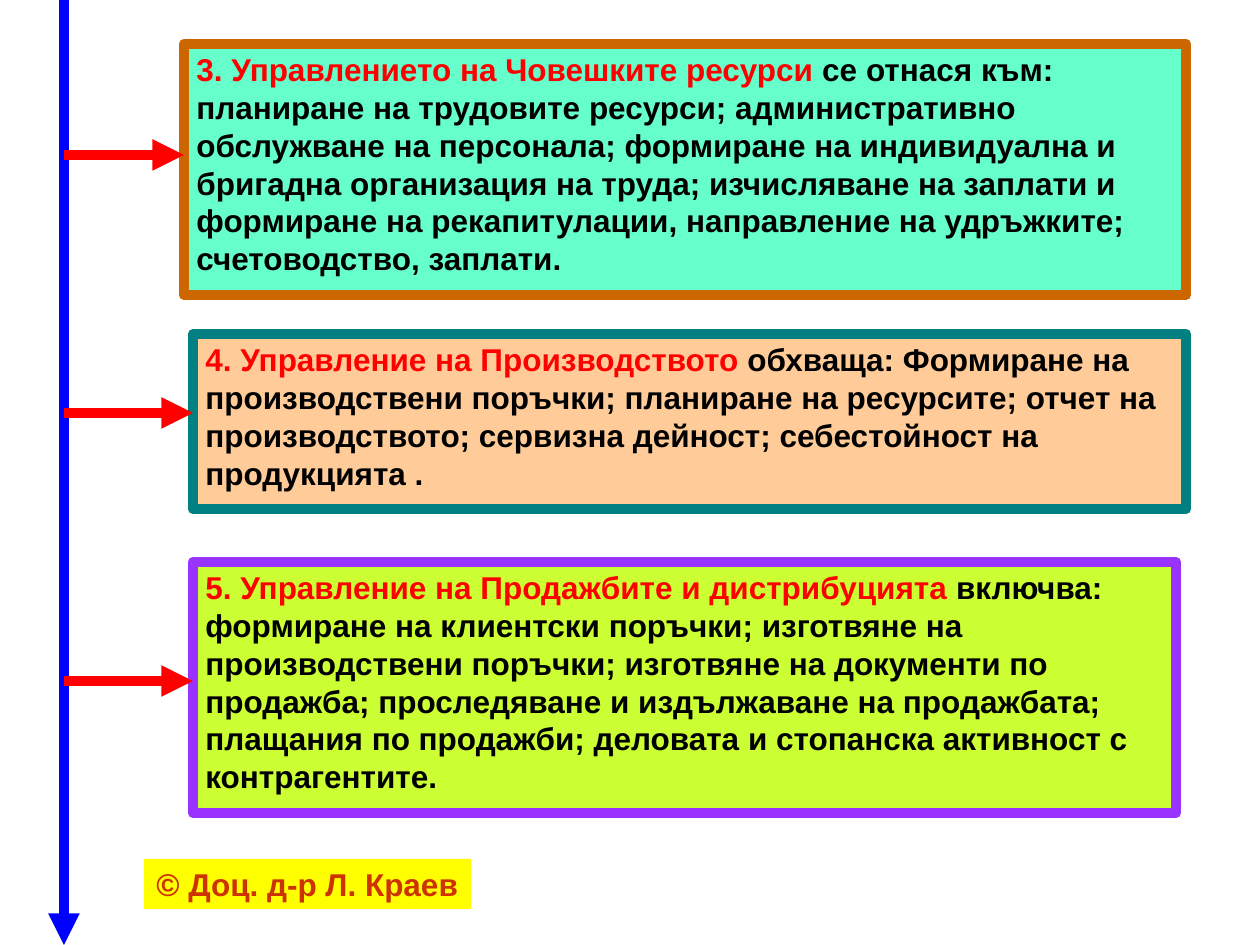
"""Build a slide of three management modules branching from a vertical axis."""
from lxml import etree
from pptx import Presentation, util as u
from pptx.dml.color import RGBColor
from pptx.enum import shapes, text
from pptx.oxml.ns import qn

BLUE = RGBColor(0x00, 0x00, 0xFF)
RED = RGBColor(0xFF, 0x00, 0x00)
BLACK = RGBColor(0x00, 0x00, 0x00)
AQUA = RGBColor(0x66, 0xFF, 0xCC)
BROWN = RGBColor(0xCC, 0x66, 0x00)
PEACH = RGBColor(0xFF, 0xCC, 0x99)
TEAL = RGBColor(0x00, 0x80, 0x80)
LIME = RGBColor(0xCC, 0xFF, 0x33)
PURPLE = RGBColor(0x99, 0x33, 0xFF)
YELLOW = RGBColor(0xFF, 0xFF, 0x00)
RUST = RGBColor(0xCC, 0x33, 0x00)

MODULES = [
    {"heading": "3. Управлението на Човешките ресурси",
     "body": " се отнася към: планиране на трудовите ресурси; административно "
             "обслужване на персонала; формиране на индивидуална и бригадна "
             "организация на труда; изчисляване на заплати и формиране на "
             "рекапитулации, направление на удръжките; счетоводство, заплати.",
     "area": (184, 44, 1002, 251), "arrow": 155, "fill": AQUA, "border": BROWN},
    {"heading": "4. Управление на Производството",
     "body": " обхваща: Формиране на производствени поръчки; планиране на "
             "ресурсите; отчет на производството; сервизна дейност; "
             "себестойност на продукцията .",
     "area": (193, 334, 993, 175), "arrow": 413, "fill": PEACH, "border": TEAL},
    {"heading": "5. Управление на Продажбите и дистрибуцията",
     "body": " включва: формиране на клиентски поръчки; изготвяне на "
             "производствени поръчки; изготвяне на документи по продажба; "
             "проследяване и издължаване на продажбата; плащания по продажби; "
             "деловата и стопанска активност с контрагентите.",
     "area": (193, 562, 983, 251), "arrow": 681, "fill": LIME, "border": PURPLE},
]
CREDIT = "© Доц. д-р Л. Краев"
CREDIT_AREA = (144, 859, 327, 50)
WIDTH, HEIGHT = 1260, 945
AXIS_X = 64
STROKE = u.Pt(6)
FONT = {"name": "Arial", "size": u.Pt(18), "bold": True}


def px(*values):
    return [round(value * u.Inches(1) / 126) for value in values]


def add_arrow(page, start, end, color):
    arrow = page.shapes.add_connector(
        shapes.MSO_CONNECTOR.STRAIGHT, *px(*start, *end))
    arrow.line.color.rgb = color
    arrow.line.width = STROKE
    etree.SubElement(arrow.line._get_or_add_ln(), qn("a:tailEnd"), type="triangle")
    etree.SubElement(arrow._element.spPr, qn("a:effectLst"))


def add_box(page, area, fill, spans, border=None, wrap=True):
    box = page.shapes.add_shape(shapes.MSO_SHAPE.RECTANGLE, *px(*area))
    box.shadow.inherit = False
    box.fill.solid()
    box.fill.fore_color.rgb = fill
    if border is None:
        box.line.fill.background()
    else:
        box.line.color.rgb = border
        box.line.width = STROKE
    frame = box.text_frame
    frame.word_wrap = wrap
    frame.auto_size = text.MSO_AUTO_SIZE.SHAPE_TO_FIT_TEXT
    frame.vertical_anchor = text.MSO_ANCHOR.TOP
    para = frame.paragraphs[0]
    para.alignment = text.PP_ALIGN.LEFT
    for words, color in spans:
        span = para.add_run()
        span.text = words
        for name, value in FONT.items():
            setattr(span.font, name, value)
        span.font.color.rgb = color


def main():
    deck = Presentation()
    deck.slide_width, deck.slide_height = px(WIDTH, HEIGHT)
    page = deck.slides.add_slide(deck.slide_layouts[6])
    add_arrow(page, (AXIS_X, 0), (AXIS_X, HEIGHT), BLUE)
    for module in MODULES:
        add_box(page, module["area"], module["fill"],
                [(module["heading"], RED), (module["body"], BLACK)],
                module["border"])
    for module in MODULES:
        level = module["arrow"]
        add_arrow(page, (AXIS_X, level), (module["area"][0], level), RED)
    add_box(page, CREDIT_AREA, YELLOW, [(CREDIT, RUST)], wrap=False)
    deck.save("out.pptx")


if __name__ == "__main__":
    main()
